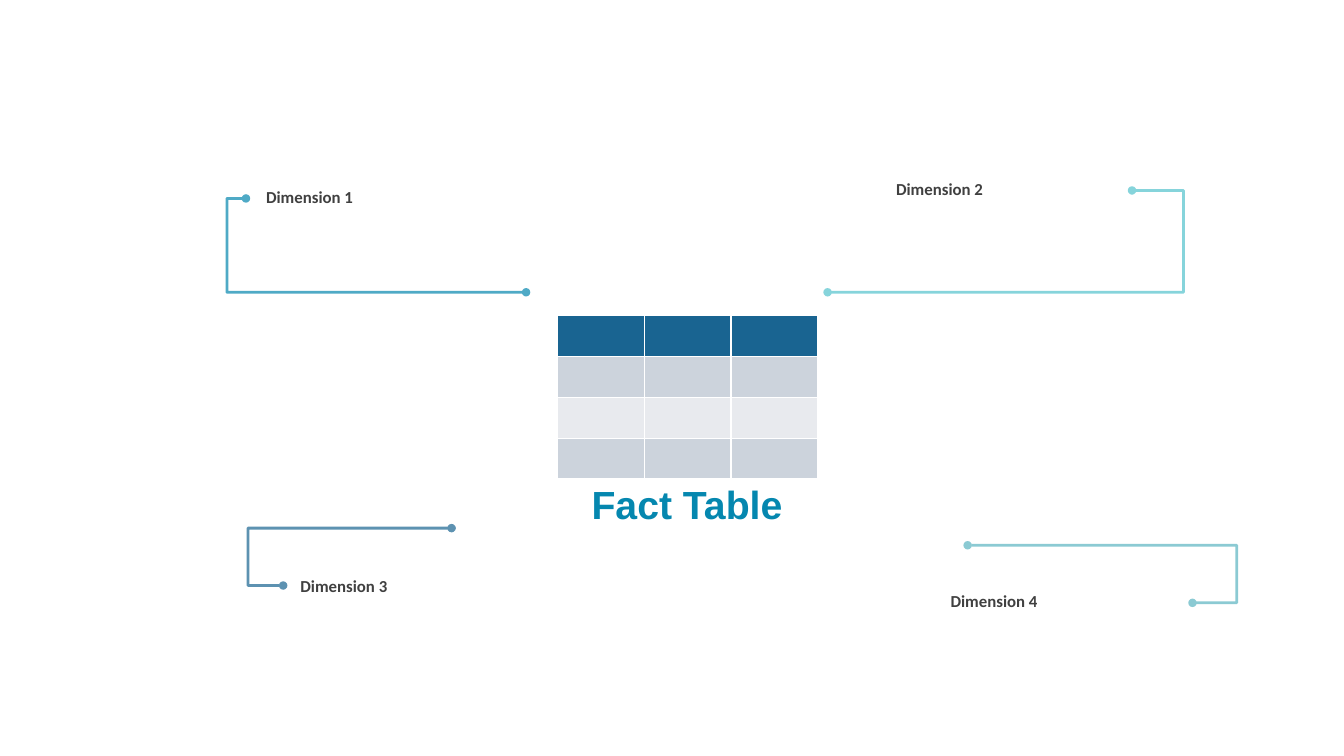
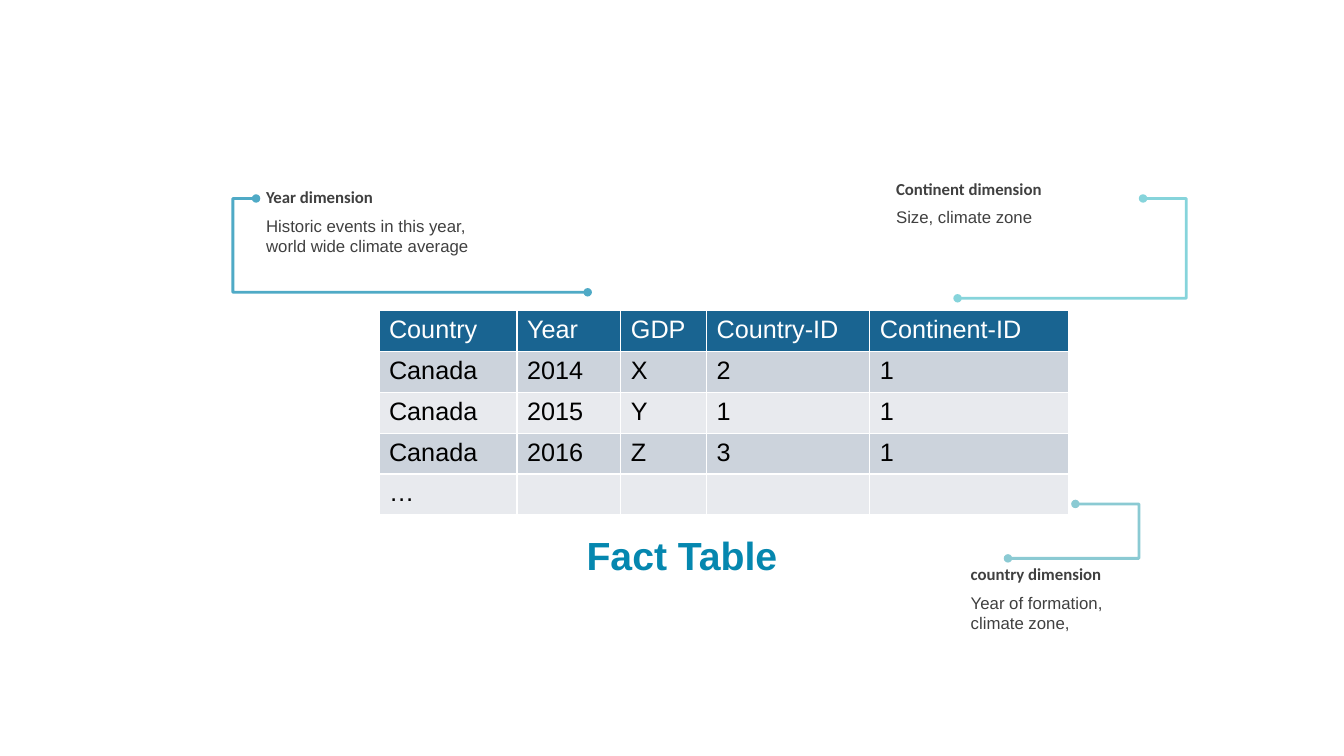
"""Build two slides that show a fact table linked to its dimensions."""
from dataclasses import dataclass

from lxml import etree
from pptx import Presentation
from pptx import util as u
from pptx.dml.color import RGBColor
from pptx.enum import shapes, text
from pptx.oxml import ns


@dataclass(frozen=True)
class Theme:
    """Colours, type styles and measures shared by the slides."""
    ocean: str = "0587AF"
    aqua: str = "53C3CD"
    navy: str = "196491"
    teal: str = "5AB4C1"
    bands: tuple = ("E8EAEE", "CCD3DC")
    title: tuple = ("0587AF", {"size": u.Pt(28), "name": "Arial", "bold": True})
    name: tuple = ("404040", {"size": u.Pt(12), "name": "Calibri", "bold": True})
    detail: tuple = ("404040", {"size": u.Pt(12), "name": "Arial", "bold": False})
    header: tuple = ("FFFFFF", {"size": u.Pt(18), "name": "Arial", "bold": False})
    cell: tuple = ("000000", {"size": u.Pt(18), "name": "Arial", "bold": False})
    line_width: float = 2
    line_alpha: int = 70000
    row_height: float = 29.2
    label_width: float = 160.6
    detail_gap: float = 6.2


THEME = Theme()


def set_values(target, values):
    """Set each named attribute of the target."""
    for name, value in values.items():
        setattr(target, name, value)


def style_font(font, style):
    """Apply a colour and type style to a font."""
    colour, values = style
    set_values(font, values)
    font.color.rgb = RGBColor.from_string(colour)


def add_title(slide, left, top):
    """Place and format the title under the fact table."""
    title = slide.shapes.title
    set_values(title, {"left": u.Pt(left), "top": u.Pt(top),
                       "width": u.Pt(234), "height": u.Pt(41)})
    set_values(title.text_frame, {"text": "Fact Table", "word_wrap": True,
                                  "auto_size": text.MSO_AUTO_SIZE.NONE,
                                  "vertical_anchor": text.MSO_ANCHOR.TOP})
    paragraph = title.text_frame.paragraphs[0]
    paragraph.alignment = text.PP_ALIGN.CENTER
    style_font(paragraph.runs[0].font, THEME.title)


def add_label(slide, left, top, name, details=()):
    """Add a dimension name with optional detail lines."""
    height = 21.6 + 14 * len(details) + (THEME.detail_gap if details else 0)
    box = slide.shapes.add_textbox(u.Pt(left), u.Pt(top),
                                   u.Pt(THEME.label_width), u.Pt(height))
    frame = box.text_frame
    set_values(frame, {"word_wrap": True, "margin_left": 0, "margin_right": 0})
    for index, line in enumerate((name, *details)):
        paragraph = frame.add_paragraph() if index else frame.paragraphs[0]
        if index == 1:
            paragraph.space_before = u.Pt(THEME.detail_gap)
        run = paragraph.add_run()
        run.text = line
        style_font(run.font, THEME.detail if index else THEME.name)


def add_link(slide, start, end, bend, colour):
    """Add an elbow with round ends that turns at the bend position."""
    connector = slide.shapes.add_connector(
        shapes.MSO_CONNECTOR.ELBOW, *map(u.Pt, (*start, *end)))
    connector.line.width = u.Pt(THEME.line_width)
    connector.line.color.rgb = RGBColor.from_string(colour)
    properties = connector.element.spPr
    guides = properties.find(ns.qn("a:prstGeom")).get_or_add_avLst()
    share = round(100000 * (bend - start[0]) / (end[0] - start[0]))
    etree.SubElement(guides, ns.qn("a:gd"), name="adj1", fmla=f"val {share}")
    paint = next(properties.iter(ns.qn("a:srgbClr")))
    etree.SubElement(paint, ns.qn("a:alpha"), val=str(THEME.line_alpha))
    outline = properties.find(ns.qn("a:ln"))
    for tag in ("a:headEnd", "a:tailEnd"):
        etree.SubElement(outline, ns.qn(tag), type="oval")
    etree.SubElement(properties, ns.qn("a:effectLst"))


def add_fact_table(slide, left, top, widths, rows):
    """Add a table with a dark header and banded rows."""
    frame = slide.shapes.add_table(
        len(rows), len(widths), u.Pt(left), u.Pt(top),
        u.Pt(sum(widths)), u.Pt(THEME.row_height * len(rows)))
    table = frame.table
    for column, width in zip(table.columns, widths):
        column.width = u.Pt(width)
    for row_index, values in enumerate(rows):
        table.rows[row_index].height = u.Pt(THEME.row_height)
        fill = THEME.bands[row_index % 2] if row_index else THEME.navy
        for column_index, value in enumerate(values):
            cell = table.cell(row_index, column_index)
            cell.fill.solid()
            cell.fill.fore_color.rgb = RGBColor.from_string(fill)
            cell.text = value
            style_font(cell.text_frame.paragraphs[0].font,
                       THEME.cell if row_index else THEME.header)


def add_star(presentation, title, table, links, labels):
    """Add a slide with a fact table, its links and its dimensions."""
    slide = presentation.slides.add_slide(presentation.slide_layouts[5])
    for link in links:
        add_link(slide, *link)
    for label in labels:
        add_label(slide, *label)
    add_title(slide, *title)
    add_fact_table(slide, *table)


def main():
    """Build and save the presentation."""
    presentation = Presentation()
    set_values(presentation, {"slide_width": u.Pt(960), "slide_height": u.Pt(540)})
    add_star(
        presentation,
        title=(373.7, 339.8),
        table=(398.2, 225.4, [62] * 3, [[""] * 3] * 4),
        links=[
            ((175.7, 141.8), (375.8, 208.8), 162, THEME.ocean),
            ((591.1, 208.8), (808.6, 136.1), 845.3, THEME.aqua),
            ((202.3, 418.3), (322.6, 377.3), 177.1, THEME.navy),
            ((691.2, 389.5), (851.8, 430.6), 883.4, THEME.teal),
        ],
        labels=[
            (190.1, 129.6, "Dimension 1"),
            (640.1, 123.8, "Dimension 2"),
            (214.6, 407.5, "Dimension 3"),
            (679, 418.3, "Dimension 4"),
        ],
    )
    add_star(
        presentation,
        title=(370.1, 375.8),
        table=(270.7, 221.8, [98.6, 74.2, 61.2, 116.6, 141.8], [
            ["Country", "Year", "GDP", "Country-ID", "Continent-ID"],
            ["Canada", "2014", "X", "2", "1"],
            ["Canada", "2015", "Y", "1", "1"],
            ["Canada", "2016", "Z", "3", "1"],
            ["…", "", "", "", ""],
        ]),
        links=[
            ((182.9, 141.8), (419.8, 208.8), 166.3, THEME.ocean),
            ((684, 213.1), (816.5, 141.8), 847.4, THEME.aqua),
            ((720, 398.9), (768.2, 360), 813.6, THEME.teal),
        ],
        labels=[
            (190.1, 129.6, "Year dimension",
             ("Historic events in this year,", "world wide climate average")),
            (640.1, 123.8, "Continent dimension", ("Size, climate zone",)),
            (693.4, 398.9, "country dimension",
             ("Year of formation,", "climate zone,")),
        ],
    )
    presentation.save("out.pptx")


if __name__ == "__main__":
    main()
